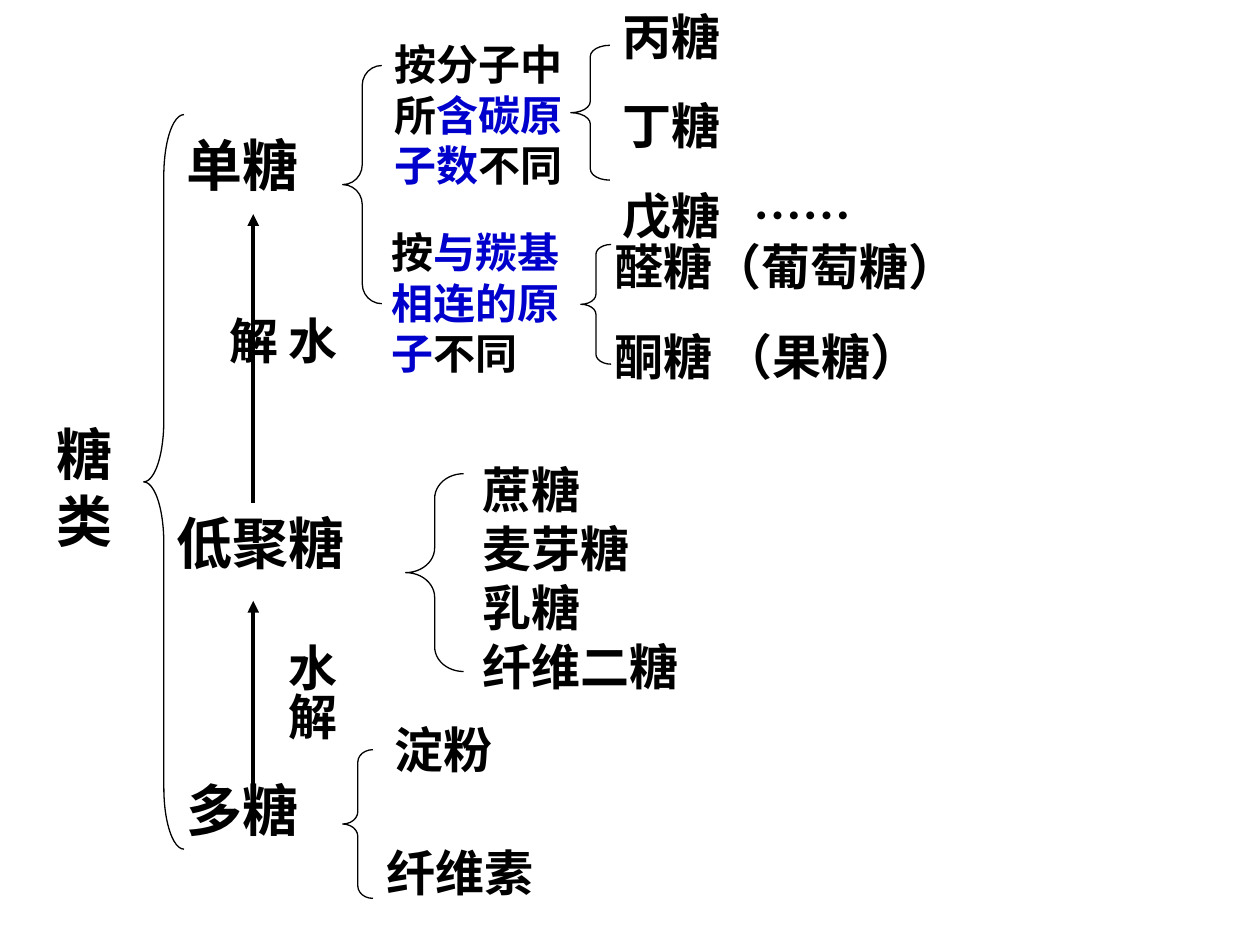
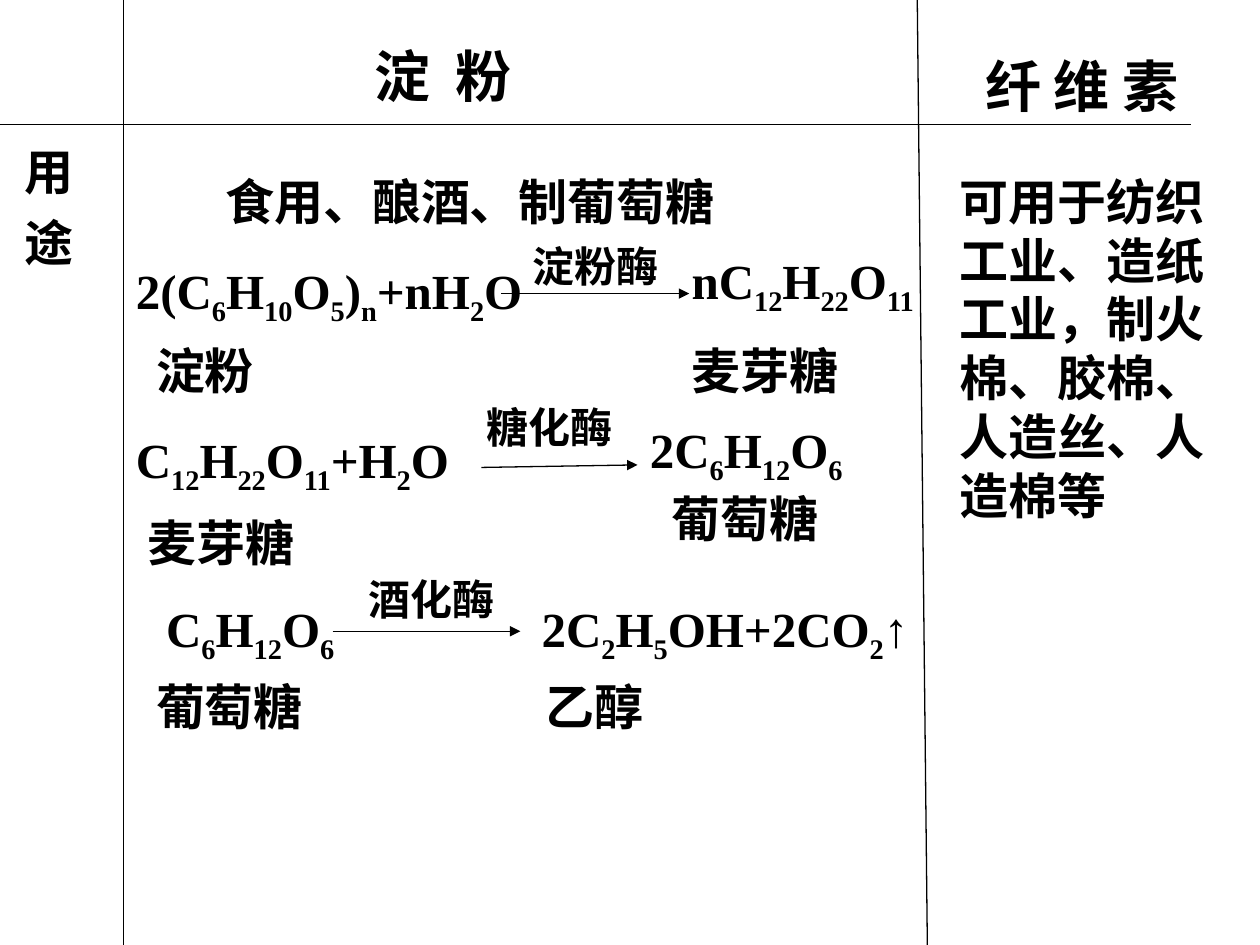
from dataclasses import dataclass

from lxml.etree import SubElement
from pptx import Presentation
from pptx.dml.color import RGBColor
from pptx.enum.shapes import MSO_CONNECTOR, MSO_SHAPE
from pptx.enum.text import MSO_AUTO_SIZE, PP_ALIGN
from pptx.oxml.ns import qn
from pptx.util import Emu, Pt

EMU_PER_PX = 9144
SUBSCRIPT = {"baseline": "-25000"}


@dataclass(frozen=True)
class Theme:
    ink: RGBColor = RGBColor(0, 0, 0)
    highlight: RGBColor = RGBColor(0, 0, 0xCC)
    chinese: str = "Noto Sans CJK SC"
    formula: str = "Times New Roman"
    heading: int = 32
    body: int = 28
    note: int = 24
    thin: float = 0.75
    thick: float = 2.25


def px(length):
    return Emu(length * EMU_PER_PX)


def apply(target, formats):
    for name, value in formats.items():
        setattr(target, name, value)


class Board:
    def __init__(self, presentation, theme):
        self.presentation = presentation
        self.theme = theme
        self.shapes = None

    def new_slide(self):
        self.slide = self.presentation.slides.add_slide(self.presentation.slide_layouts[6])
        self.shapes = self.slide.shapes

    def new_group(self):
        self.shapes = self.slide.shapes.add_group_shape().shapes

    def end_group(self):
        self.shapes = self.slide.shapes

    def brace(self, left, top, width, height, curve=1 / 12):
        shape = self.shapes.add_shape(MSO_SHAPE.LEFT_BRACE, *map(px, (left, top, width, height)))
        shape.adjustments[0] = curve * height / width
        shape.shadow.inherit = False
        shape.fill.background()
        shape.line.color.rgb = self.theme.ink
        shape.line.width = Pt(self.theme.thin)

    def line(self, start, end, width=None, arrow=False):
        connector = self.shapes.add_connector(MSO_CONNECTOR.STRAIGHT, *map(px, start + end))
        connector.line.color.rgb = self.theme.ink
        connector.line.width = Pt(width or self.theme.thin)
        properties = connector.element.spPr
        if arrow:
            SubElement(properties.find(qn("a:ln")), qn("a:tailEnd"), type="triangle")
        SubElement(properties, qn("a:effectLst"))

    def text(self, box, lines, size=None, font=None, accent=None, color=None,
             spacing=0, indent=0, tab=None, vertical=False):
        """Every second part between bars takes the accent attributes and color."""
        size = size or self.theme.body
        shape = self.shapes.add_textbox(*map(px, box))
        frame = shape.text_frame
        across, along = (px(5), px(10)) if vertical else (px(10), px(5))
        apply(frame, {
            "word_wrap": True, "auto_size": MSO_AUTO_SIZE.SHAPE_TO_FIT_TEXT,
            "margin_left": across, "margin_right": across,
            "margin_top": along, "margin_bottom": along,
        })
        if vertical:
            shape.element.txBody.bodyPr.set("vert", "eaVert")
        for index, line in enumerate(lines.split("\n")):
            paragraph = frame.paragraphs[0] if index == 0 else frame.add_paragraph()
            properties = paragraph._p.get_or_add_pPr()
            if indent:
                properties.set("marL", str(px(indent)))
            if tab:
                tabs = SubElement(properties, qn("a:tabLst"))
                SubElement(tabs, qn("a:tab"), pos=str(px(tab)), algn="l")
            paragraph.alignment = PP_ALIGN.CENTER if vertical else PP_ALIGN.LEFT
            paragraph.space_before = Pt(spacing if index else 0)
            for position, part in enumerate(line.split("|")):
                if part:
                    accented = position % 2 == 1
                    self.run(paragraph, part, size, font or self.theme.chinese,
                             color if accented and color else self.theme.ink,
                             accent if accented and accent else {})

    def run(self, paragraph, words, size, font, color, attributes):
        run = paragraph.add_run()
        run.text = words
        apply(run.font, {"size": Pt(size), "bold": True, "name": font})
        run.font.color.rgb = color
        properties = run._r.get_or_add_rPr()
        SubElement(properties, qn("a:ea"), typeface=font)
        for name, value in attributes.items():
            properties.set(name, value)

    def formula(self, box, words, tab=None):
        self.text(box, words, font=self.theme.formula, accent=SUBSCRIPT, tab=tab)


def build_classification(board):
    theme = board.theme
    board.new_slide()
    board.brace(114, 91, 32, 583)
    for box, name in (
        ((35, 328, 87, 117), "糖类"),
        ((138, 99, 173, 64), "单糖"),
        ((130, 399, 205, 64), "低聚糖"),
        ((138, 611, 149, 64), "多糖"),
    ):
        board.text(box, name, theme.heading)

    board.brace(272, 52, 31, 189)
    board.brace(322, 376, 46, 157, curve=1 / 8)
    board.brace(272, 595, 24, 118)
    board.text((373, 360, 220, 244), "蔗糖\n麦芽糖\n乳糖\n纤维二糖")
    board.text((303, 566, 149, 57), "淀粉")
    board.text((297, 664, 210, 57), "纤维素")

    for box, criterion in (
        ((303, 26, 165, 130), "按分子中所|含碳原子数|不同"),
        ((301, 175, 173, 130), "按|与羰基相连的原子|不同"),
    ):
        board.text(box, criterion, theme.note, color=theme.highlight)

    board.brace(453, 36, 31, 107)
    board.brace(461, 194, 24, 95)
    board.text((484, 0, 236, 199), "丙糖\n丁糖\n戊糖\t……", spacing=17.5, tab=104)
    board.text((478, 183, 425, 128), "醛糖（葡萄糖）\n酮糖 （果糖）", spacing=17.5)

    for bottom, top in ((399, 170), (627, 477)):
        board.line((201, bottom), (201, top), theme.thick, arrow=True)
    for top, height in ((241, 94), (501, 118)):
        board.text((209, top, 66, height), "水解", vertical=True)


def build_uses(board):
    theme = board.theme
    board.new_slide()
    for start, end in (((0, 99), (945, 99)), ((98, 0), (98, 750)), ((728, 0), (736, 750))):
        board.line(start, end)
    board.text((287, 28, 228, 64), "淀| |粉", theme.heading, accent={"spc": "720"})
    board.text((772, 36, 228, 64), "纤 维 素", theme.heading)
    board.text((0, 107, 66, 472), "用| |途", accent={"spc": "630"}, vertical=True)
    board.text((169, 131, 441, 57), "食用、酿酒、制葡萄糖")

    reactions = (
        {
            "formulas": (((98, 202, 449, 63), "2(C|6|H|10|O|5|)|n|+nH|2|O"),
                         ((539, 194, 331, 63), "nC|12|H|22|O|11|")),
            "arrow": ((398, 233), (547, 233)),
            "enzyme": ((398, 186, 181, 50), "淀粉酶", 15),
            "names": (((114, 265, 189, 57), "淀粉"), ((539, 265, 189, 57), "麦芽糖")),
        },
        {
            "formulas": (((98, 336, 657, 63), "C|12|H|22|O|11|+H|2|O"),
                         ((506, 328, 324, 63), "2C|6|H|12|O|6|")),
            "arrow": ((382, 371), (506, 369)),
            "enzyme": ((376, 314, 224, 50), "糖化酶", 0),
            "names": (((107, 402, 391, 57), "麦芽糖"), ((523, 383, 316, 57), "葡萄糖")),
        },
        {
            "formulas": (((122, 470, 709, 63), "C|6|H|12|O|6|\t2C|2|H|5|OH+2CO|2|↑"),),
            "arrow": ((264, 501), (413, 501)),
            "enzyme": ((283, 450, 228, 50), "酒化酶", 0),
            "names": (((114, 532, 488, 57), "葡萄糖\t乙醇"),),
        },
    )
    for reaction in reactions:
        board.new_group()
        for box, words in reaction["formulas"]:
            board.formula(box, words, tab=298 if "\t" in words else None)
        board.line(*reaction["arrow"], arrow=True)
        box, enzyme, indent = reaction["enzyme"]
        board.text(box, enzyme, theme.note, indent=indent)
        for box, name in reaction["names"]:
            board.text(box, name, tab=309 if "\t" in name else None)
    board.end_group()
    board.text((752, 131, 248, 290), "可用于纺织工业、造纸工业，制火棉、胶棉、人造丝、人造棉等")


def main():
    presentation = Presentation()
    apply(presentation, {"slide_width": px(1000), "slide_height": px(750)})
    board = Board(presentation, Theme())
    build_classification(board)
    build_uses(board)
    presentation.save("out.pptx")


if __name__ == "__main__":
    main()
